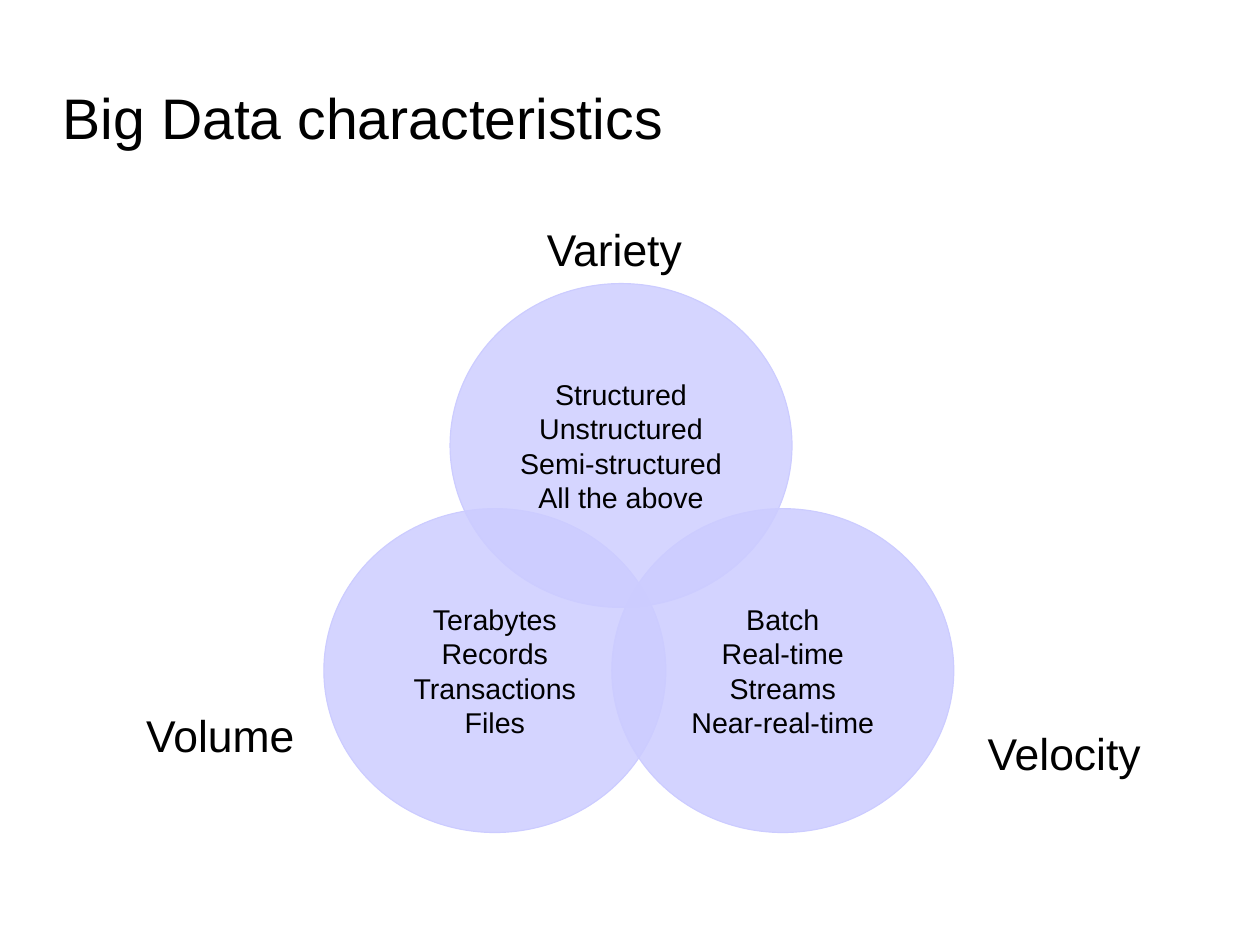
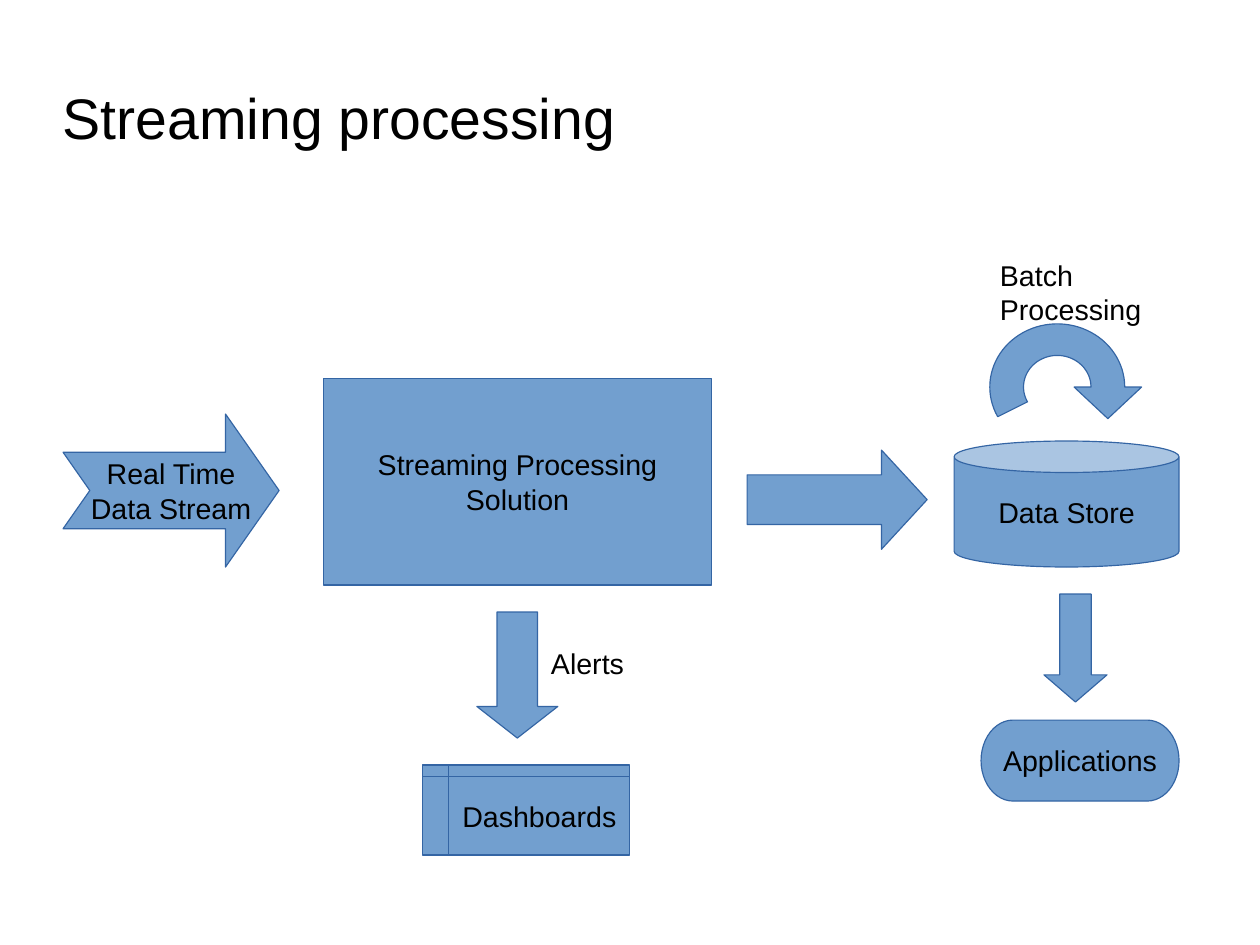
"""Build two slides on Big Data: its characteristics and streaming processing."""
from math import cos, radians, sin

from lxml import etree
from pptx import Presentation
from pptx.dml.color import RGBColor
from pptx.enum.shapes import MSO_SHAPE
from pptx.enum.text import MSO_ANCHOR, PP_ALIGN
from pptx.oxml.ns import qn
from pptx.util import Pt

ELLIPSE = MSO_SHAPE.OVAL
RECTANGLE = MSO_SHAPE.RECTANGLE
NOTCHED_ARROW = MSO_SHAPE.NOTCHED_RIGHT_ARROW
RIGHT_ARROW = MSO_SHAPE.RIGHT_ARROW
DOWN_ARROW = MSO_SHAPE.DOWN_ARROW
STORAGE = MSO_SHAPE.FLOWCHART_INTERNAL_STORAGE
CAN = MSO_SHAPE.CAN
TERMINATOR = MSO_SHAPE.FLOWCHART_TERMINATOR
TOP, MIDDLE = MSO_ANCHOR.TOP, MSO_ANCHOR.MIDDLE
LEFT, CENTER = PP_ALIGN.LEFT, PP_ALIGN.CENTER

FONT = "Arial"
BLACK, LILAC, BLUE, DARK_BLUE = "000000", "CCCCFF", "729FCF", "3465A4"
SLIDE_SIZE = (793.7, 595.28)
TITLE_BOX = (39.5, 45.4, 566.9, 56.7)
TITLE_SIZE, LABEL_SIZE, BODY_SIZE = 36, 28, 18

CIRCLE_SIZE = (215.4, 204)
CIRCLES = [
    ((204, 320.4), 83, ["Terabytes", "Records", "Transactions", "Files"]),
    ((385.4, 320.4), 85, ["Batch", "Real-time", "Streams", "Near-real-time"]),
    ((283.5, 178.6), 82,
     ["Structured", "Unstructured", "Semi-structured", "All the above"]),
]
CIRCLE_LABELS = [
    ((85, 442.2, 118, 38.2), ["Volume"]),
    ((615, 453.6, 120, 38.2), ["Velocity"]),
    ((337.4, 136.1, 110, 38.2), ["Variety"]),
]

FLOW_SHAPES = [
    (NOTCHED_ARROW, (39.7, 260.8, 136.1, 96.4), [0.5, 0.35],
     ["Real Time", "Data Stream"]),
    (RECTANGLE, (204, 238.2, 244, 130.4), [],
     ["Streaming Processing", "Solution"]),
    (RIGHT_ARROW, (470.6, 283.5, 113.4, 62.5), [0.5, 0.46], []),
    (DOWN_ARROW, (300.4, 385.5, 51, 79.4), [0.5, 0.39], []),
    (STORAGE, (266.4, 481.9, 130.4, 56.7), [], ["Dashboards"]),
    (CAN, (601, 277.8, 141.7, 79.4), [0.25], ["Data Store"]),
    (DOWN_ARROW, (657.6, 374.2, 39.7, 68), [0.5, 0.43], []),
    (TERMINATOR, (618, 453.6, 124.7, 51), [], ["Applications"]),
]
FLOW_LABELS = [
    ((340, 403.6, 70, 27.4), ["Alerts"]),
    ((622.8, 158.9, 120, 47.5), ["Batch", "Processing"]),
]
LOOP_CENTER = (666, 243.8)
LOOP_RADII = (42.5, 39.8)
LOOP_ANGLES = range(152, 361, 4)
LOOP_HEAD = [(1.25, 0), (0.75, 0.5), (0.25, 0)]


def color(hex_text):
    return RGBColor.from_string(hex_text)


def write(shape, lines, size=BODY_SIZE, align=CENTER, anchor=MIDDLE):
    frame = shape.text_frame
    frame.word_wrap = False
    frame.vertical_anchor = anchor
    frame.text = "\n".join(lines)
    for paragraph in frame.paragraphs:
        paragraph.alignment = align
        paragraph.font.name = FONT
        paragraph.font.size = Pt(size)
        paragraph.font.color.rgb = color(BLACK)
    return frame


def paint(shape, fill, line):
    shape.shadow.inherit = False
    shape.fill.solid()
    shape.fill.fore_color.rgb = color(fill)
    shape.line.color.rgb = color(line)
    shape.line.width = Pt(0)


def add_text(slide, box, lines, size, anchor=TOP):
    text_box = slide.shapes.add_textbox(*map(Pt, box))
    frame = write(text_box, lines, size, LEFT, anchor)
    frame.word_wrap = True
    return frame


def add_shape(slide, kind, box, lines, fill, line):
    shape = slide.shapes.add_shape(kind, *map(Pt, box))
    paint(shape, fill, line)
    if lines:
        write(shape, lines)
    return shape


def add_slide(presentation, title):
    slide = presentation.slides.add_slide(presentation.slide_layouts[6])
    frame = add_text(slide, TITLE_BOX, [title], TITLE_SIZE, MIDDLE)
    frame.margin_left = frame.margin_right = 0
    frame.margin_top = frame.margin_bottom = 0
    return slide


def set_opacity(shape, percent):
    fill_color = shape.fill._xPr.find(qn("a:solidFill"))[0]
    etree.SubElement(fill_color, qn("a:alpha"), val=str(percent * 1000))


def add_loop_arrow(slide):
    angles = [radians(angle) for angle in LOOP_ANGLES]
    outer = [(cos(angle), sin(angle)) for angle in angles]
    inner = [(x / 2, y / 2) for x, y in reversed(outer)]
    points = [
        tuple(Pt(middle + radius * ratio)
              for middle, radius, ratio in zip(LOOP_CENTER, LOOP_RADII, point))
        for point in outer + LOOP_HEAD + inner
    ]
    builder = slide.shapes.build_freeform(*points[0])
    builder.add_line_segments(points[1:], close=True)
    paint(builder.convert_to_shape(), BLUE, DARK_BLUE)


def build_characteristics(presentation):
    slide = add_slide(presentation, "Big Data characteristics")
    for position, opacity, lines in CIRCLES:
        circle = add_shape(
            slide, ELLIPSE, position + CIRCLE_SIZE, lines, LILAC, LILAC)
        set_opacity(circle, opacity)
    for box, lines in CIRCLE_LABELS:
        add_text(slide, box, lines, LABEL_SIZE)


def build_streaming(presentation):
    slide = add_slide(presentation, "Streaming processing")
    for kind, box, adjustments, lines in FLOW_SHAPES:
        shape = add_shape(slide, kind, box, lines, BLUE, DARK_BLUE)
        for index, value in enumerate(adjustments):
            shape.adjustments[index] = value
    add_loop_arrow(slide)
    for box, lines in FLOW_LABELS:
        add_text(slide, box, lines, BODY_SIZE)


def main():
    presentation = Presentation()
    presentation.slide_width, presentation.slide_height = map(Pt, SLIDE_SIZE)
    build_characteristics(presentation)
    build_streaming(presentation)
    presentation.save("out.pptx")


if __name__ == "__main__":
    main()
